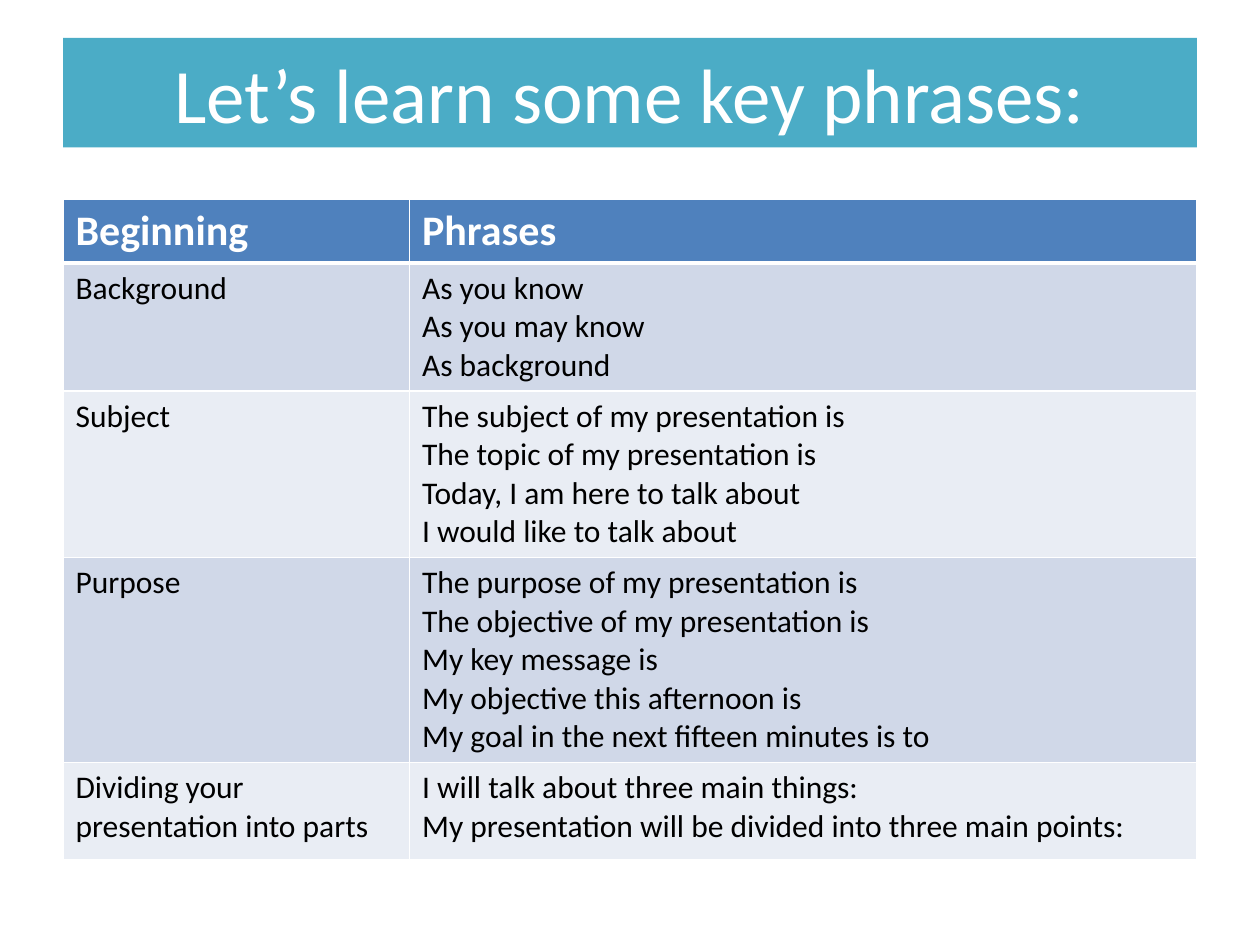
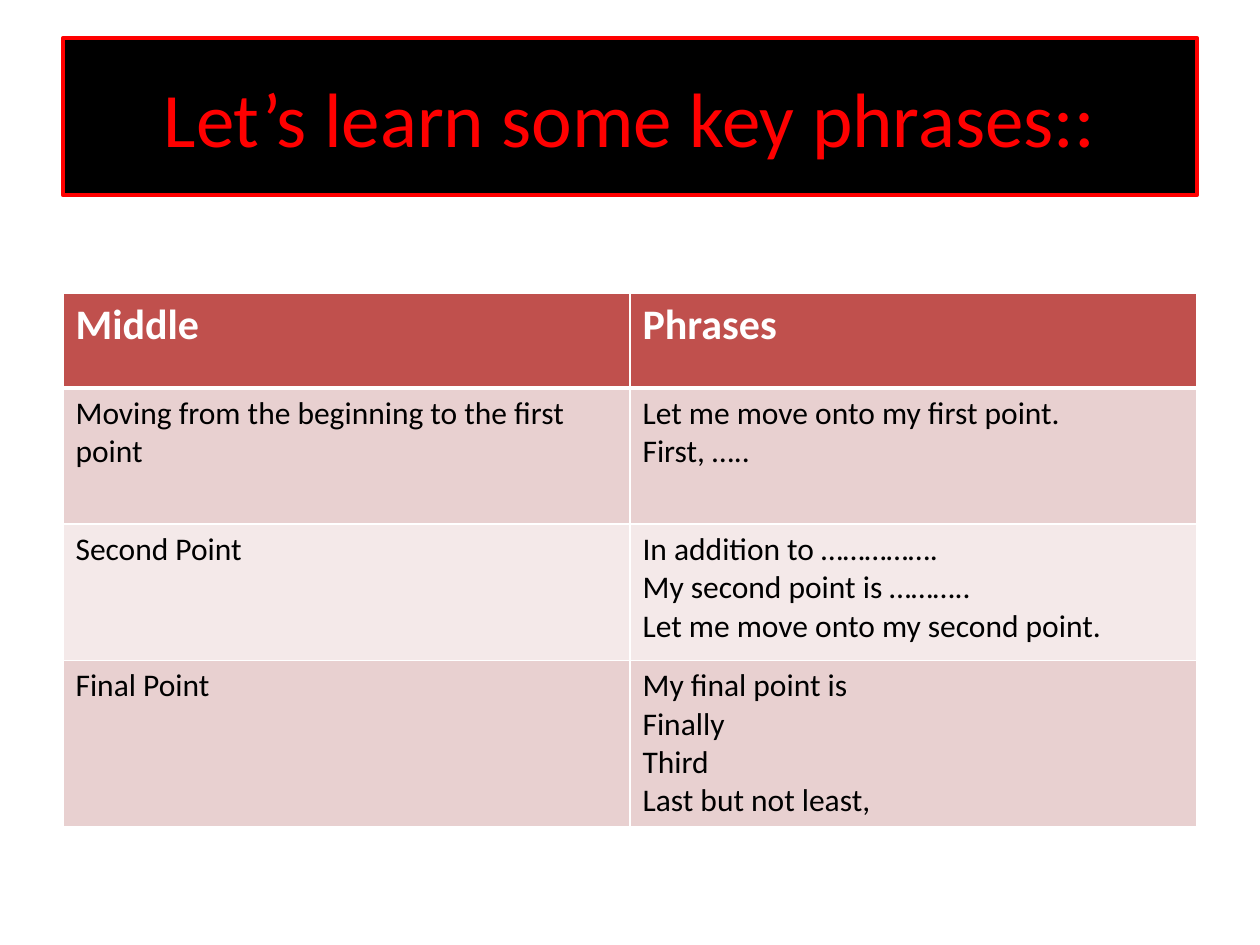
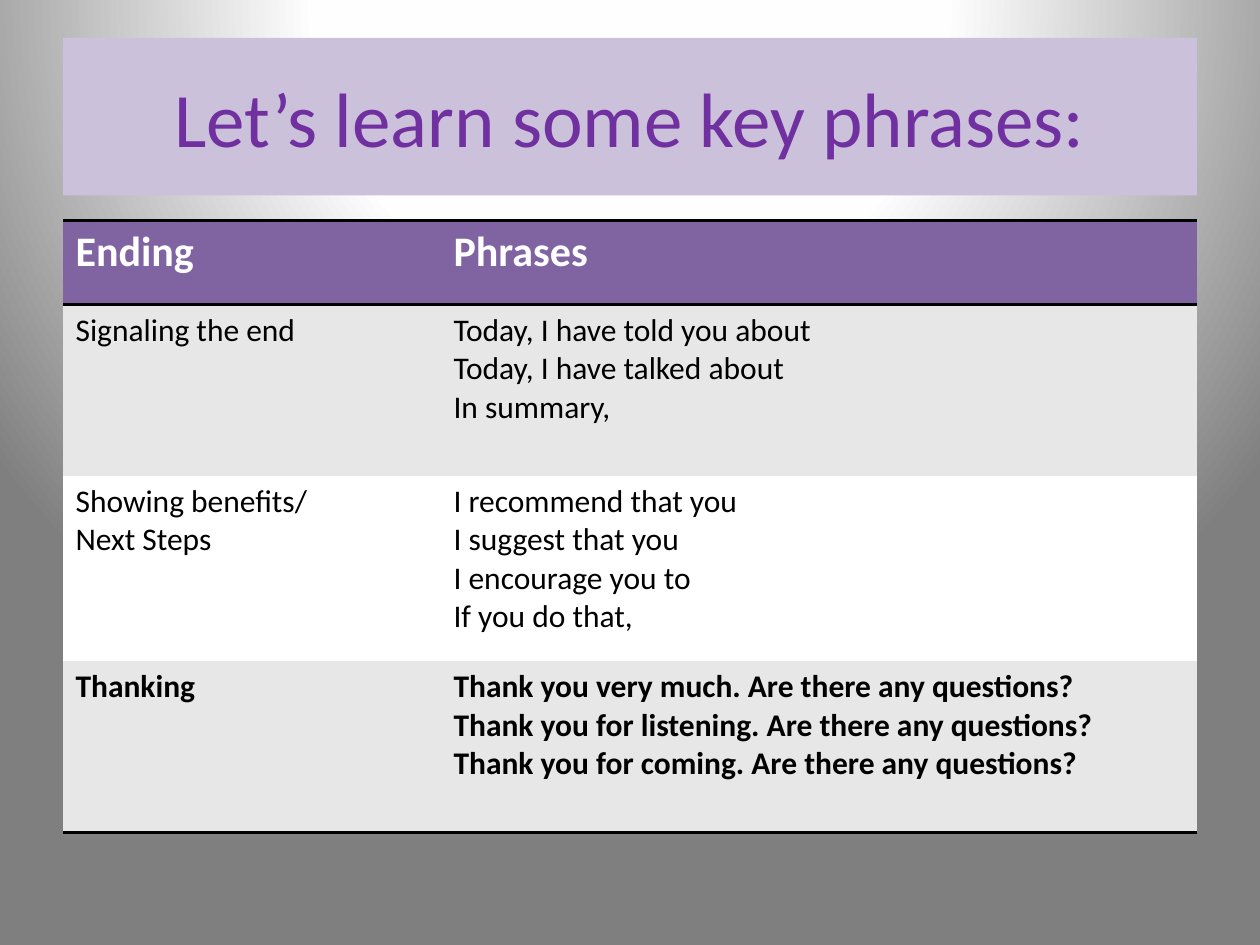
from dataclasses import dataclass
from typing import Optional

from pptx import Presentation
from pptx.dml.color import RGBColor as RGB
from pptx.enum.text import MSO_ANCHOR as Anchor, MSO_AUTO_SIZE as AutoSize, PP_ALIGN as Align
from pptx.oxml import parse_xml
from pptx.oxml.ns import nsdecls, qn
from pptx.util import Emu, Inches, Pt


@dataclass(frozen=True)
class Theme:
    """Colours, type sizes and grid shared by all slides."""
    font: str = "Calibri"
    title_size: int = 44
    head_size: int = 24
    body_size: int = 18
    white: str = "FFFFFF"
    black: str = "000000"
    red: str = "FF0000"
    violet: str = "7030A0"
    lilac: str = "CCC1DA"
    aqua: str = "4BACC6"
    blue: tuple = ("4F81BD", "D0D8E8", "E9EDF4")
    brick: tuple = ("C0504D", "E8D0D0", "F4E9E9")
    purple: tuple = ("8064A2", "E7E7E7", "FFFFFF")
    glow: tuple = ((0, "FFFFFF"), (40, "FEFEFE"), (100, "7F7F7F"))
    no_grid: str = "{2D5ABB26-0587-4C30-8999-92F81FD0307C}"
    columns: int = 40
    margin: int = 2
    title_top: float = 4


@dataclass(frozen=True)
class Banner:
    """A title band; height is a percentage of the slide."""
    text: str
    height: float
    fill: str
    color: str
    line: Optional[str] = None


@dataclass(frozen=True)
class Row:
    """A table row; height is a percentage of the slide."""
    height: float
    label: str
    phrases: str
    bold: bool = False


@dataclass(frozen=True)
class Grid:
    """A phrase table; vertical lengths are percentages, split is in columns."""
    top: float
    height: float
    split: int
    fills: tuple
    rows: tuple
    ruled: bool = False


@dataclass(frozen=True)
class Page:
    """One slide of the lesson."""
    banner: Banner
    grid: Grid
    glow: bool = False


T = Theme()
WIDTH, HEIGHT = Inches(10), Inches(7.5)
TITLE = "Let’s learn some key phrases:"

PAGES = (
    Page(
        Banner(TITLE, 11.6, T.aqua, T.white),
        Grid(21.07, 68.93, 11, T.blue, (
            Row(6.27, "Beginning", "Phrases", True),
            Row(12.4, "Background", "As you know\nAs you may know\nAs background"),
            Row(16.13, "Subject",
                "The subject of my presentation is\nThe topic of my presentation is\n"
                "Today, I am here to talk about\nI would like to talk about"),
            Row(16.13, "Purpose",
                "The purpose of my presentation is\nThe objective of my presentation is\n"
                "My key message is\nMy objective this afternoon is\n"
                "My goal in the next fifteen minutes is to"),
            Row(10.27, "Dividing your presentation into parts",
                "I will talk about three main things:\n"
                "My presentation will be divided into three main points:"),
        )),
    ),
    Page(
        Banner(TITLE + ":", 16.67, T.black, T.red, T.red),
        Grid(31.07, 56.27, 18, T.brick, (
            Row(10, "Middle", "Phrases", True),
            Row(14.4, "Moving from the beginning to the first point",
                "Let me move onto my first point.\nFirst, ….."),
            Row(14.4, "Second Point",
                "In addition to …………….\nMy second point is ………..\n"
                "Let me move onto my second point."),
            Row(14.4, "Final Point",
                "My final point is\nFinally\nThird\nLast but not least,"),
        )),
    ),
    Page(
        Banner(TITLE, 16.67, T.lilac, T.violet),
        Grid(23.33, 64.8, 12, T.purple, (
            Row(8.93, "Ending", "Phrases", True),
            Row(18.13, "Signaling the end",
                "Today, I have told you about\nToday, I have talked about\nIn summary,"),
            Row(19.6, "Showing benefits/\nNext Steps",
                "I recommend that you\nI suggest that you\nI encourage you to\n"
                "If you do that,"),
            Row(18.13, "Thanking",
                "Thank you very much. Are there any questions?\n"
                "Thank you for listening. Are there any questions?\n"
                "Thank you for coming. Are there any questions?", True),
        ), ruled=True),
        glow=True,
    ),
)


def across(columns: float) -> Emu:
    """Return the width of a number of grid columns."""
    return Emu(round(WIDTH * columns / T.columns))


def down(percent: float) -> Emu:
    """Return a percentage of the slide height."""
    return Emu(round(HEIGHT * percent / 100))


def write(tf, text: str, *, size: int, color: str, bold: bool = False,
          align: Align = Align.LEFT) -> None:
    """Fill a text frame with one formatted paragraph per line."""
    for i, line in enumerate(text.split("\n")):
        p = tf.paragraphs[0] if i == 0 else tf.add_paragraph()
        p.alignment = align
        r = p.add_run()
        r.text = line
        r.font.name, r.font.size, r.font.bold = T.font, Pt(size), bold
        r.font.color.rgb = RGB.from_string(color)


def add_banner(s, banner: Banner) -> None:
    """Place and format the title placeholder as a band."""
    sp = s.shapes.title
    sp.left, sp.top = across(T.margin), down(T.title_top)
    sp.width, sp.height = across(T.columns - 2 * T.margin), down(banner.height)
    sp.fill.solid()
    sp.fill.fore_color.rgb = RGB.from_string(banner.fill)
    if banner.line:
        sp.line.color.rgb = RGB.from_string(banner.line)
        sp.line.width = Pt(2.25)
    tf = sp.text_frame
    tf.word_wrap, tf.auto_size = True, AutoSize.NONE
    tf.vertical_anchor = Anchor.MIDDLE
    write(tf, banner.text, size=T.title_size, color=banner.color, align=Align.CENTER)


def edges(grid: Grid, index: int) -> dict:
    """Return the border widths of a row by side."""
    first, last = index == 0, index == len(grid.rows) - 1
    if grid.ruled:
        return {"T": 2, "B": 2} if first else {"B": 2} if last else {}
    return {"L": 1, "R": 1, "T": 1, "B": 3} if first else {"L": 1, "R": 1, "B": 1}


def set_borders(cell, widths: dict, color: str) -> None:
    """Draw the given sides of a table cell."""
    tcPr = cell._tc.get_or_add_tcPr()
    for i, (side, width) in enumerate(widths.items()):
        tcPr.insert(i, parse_xml(
            f'<a:ln{side} {nsdecls("a")} w="{Pt(width)}"><a:solidFill>'
            f'<a:srgbClr val="{color}"/></a:solidFill></a:ln{side}>'))


def add_grid(s, grid: Grid) -> None:
    """Add the phrase table with banded rows."""
    total = T.columns - 2 * T.margin
    frame = s.shapes.add_table(len(grid.rows), 2, across(T.margin), down(grid.top),
                               across(total), down(grid.height))
    table = frame.table
    frame.element.find(".//" + qn("a:tableStyleId")).text = T.no_grid
    for column, width in zip(table.columns, (grid.split, total - grid.split)):
        column.width = across(width)
    head, *bands = grid.fills
    for i, row in enumerate(grid.rows):
        table.rows[i].height = down(row.height)
        for cell, text in zip(table.rows[i].cells, (row.label, row.phrases)):
            cell.fill.solid()
            cell.fill.fore_color.rgb = RGB.from_string(bands[(i - 1) % 2] if i else head)
            set_borders(cell, edges(grid, i), T.black if grid.ruled else T.white)
            write(cell.text_frame, text, size=T.body_size if i else T.head_size,
                  color=T.black if i else T.white, bold=row.bold)
    frame.height = down(grid.height)


def set_glow(s) -> None:
    """Give the slide a radial gradient background."""
    s.background.fill.gradient()
    old = s.element.find(".//" + qn("a:gradFill"))
    stops = "".join(f'<a:gs pos="{pos * 1000}"><a:srgbClr val="{color}"/></a:gs>'
                    for pos, color in T.glow)
    old.getparent().replace(old, parse_xml(
        f'<a:gradFill {nsdecls("a")} rotWithShape="1"><a:gsLst>{stops}</a:gsLst>'
        '<a:path path="circle"><a:fillToRect l="50000" t="-80000" r="50000" b="180000"/>'
        '</a:path></a:gradFill>'))


def set_plain(s) -> None:
    """Give the slide a white background."""
    s.background.fill.solid()
    s.background.fill.fore_color.rgb = RGB.from_string(T.white)


def main() -> None:
    """Build and save the presentation."""
    prs = Presentation()
    prs.slide_width, prs.slide_height = WIDTH, HEIGHT
    for page in PAGES:
        s = prs.slides.add_slide(prs.slide_layouts[5])
        (set_glow if page.glow else set_plain)(s)
        add_banner(s, page.banner)
        add_grid(s, page.grid)
    prs.save("out.pptx")


main()
